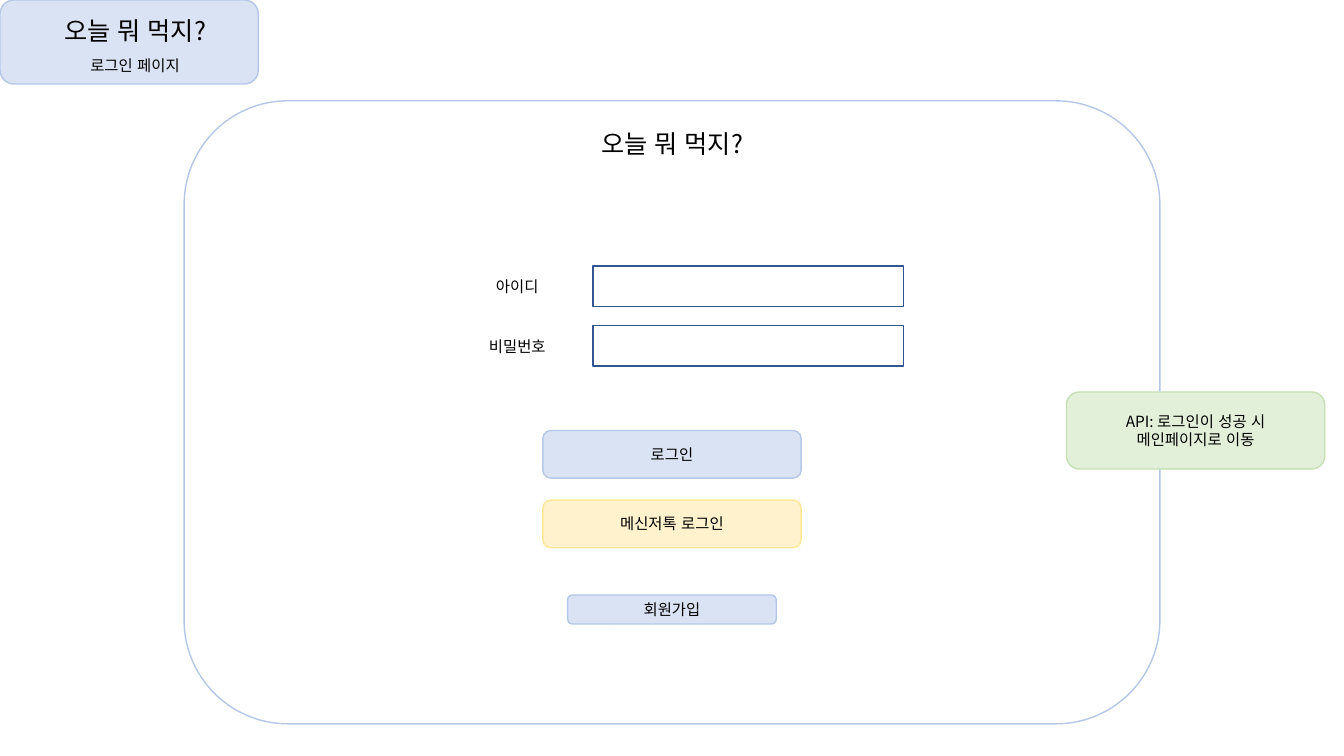
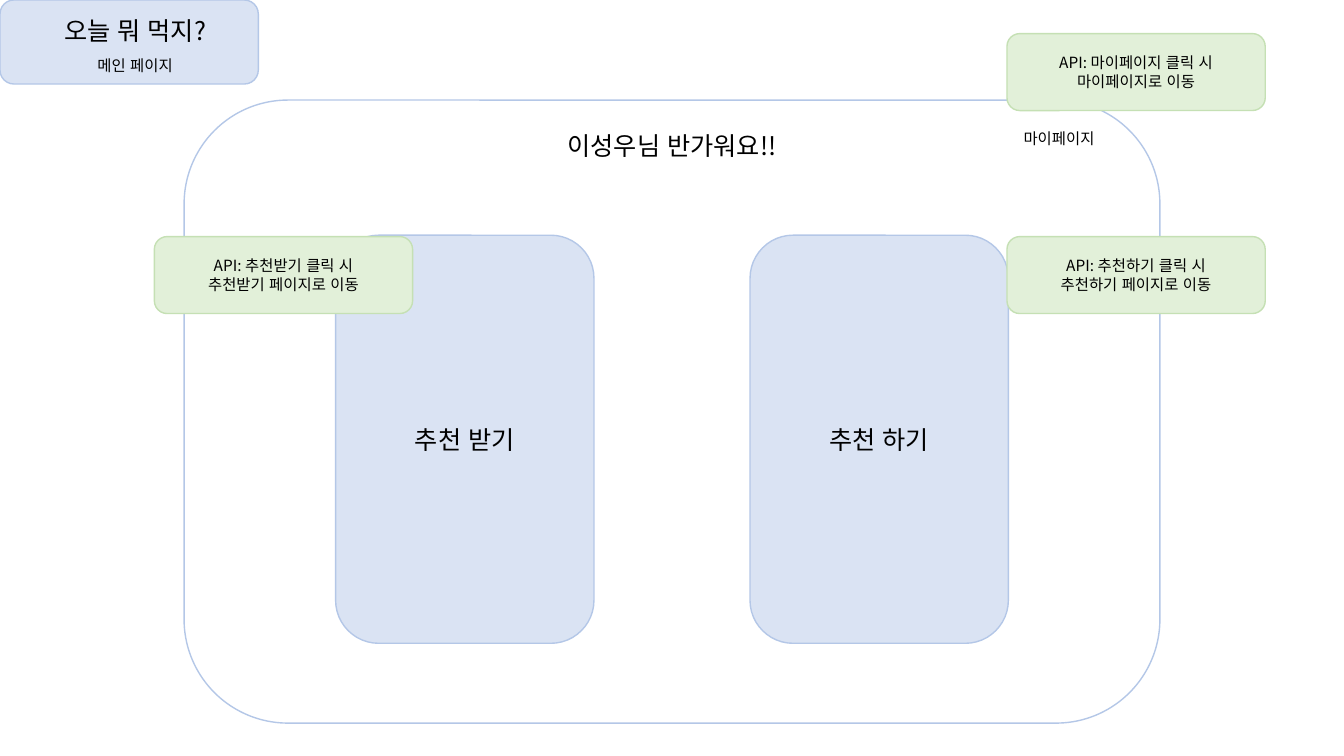
from dataclasses import dataclass
from typing import Any

from lxml.etree import SubElement
from pptx import Presentation
from pptx.dml.color import RGBColor
from pptx.enum.lang import MSO_LANGUAGE_ID
from pptx.enum.shapes import MSO_SHAPE
from pptx.enum.text import MSO_ANCHOR, MSO_AUTO_SIZE, PP_ALIGN
from pptx.oxml.ns import qn
from pptx.shapes.autoshape import Shape
from pptx.slide import Slide
from pptx.util import Pt

WHITE = RGBColor(0xFF, 0xFF, 0xFF)
BLACK = RGBColor(0x00, 0x00, 0x00)
PALE_BLUE = RGBColor(0xDA, 0xE3, 0xF3)
SOFT_BLUE = RGBColor(0xB4, 0xC7, 0xE7)
DEEP_BLUE = RGBColor(0x32, 0x54, 0x91)
PALE_YELLOW = RGBColor(0xFF, 0xF2, 0xCC)
SOFT_YELLOW = RGBColor(0xFF, 0xE6, 0x99)
PALE_GREEN = RGBColor(0xE2, 0xF0, 0xD9)
SOFT_GREEN = RGBColor(0xC5, 0xE0, 0xB4)

FONT = "Noto Sans CJK KR"
SERVICE = "오늘 뭐 먹지?"
SLIDE_WIDTH, SLIDE_HEIGHT = 960, 540
MIDDLE = SLIDE_WIDTH / 2
BLOCK_WIDTH = 184.5
LABEL_WIDTH, WIDE_LABEL = 134, 257
HEADING, BODY = 18, 11
LABEL_HEIGHT = {HEADING: 29, BODY: 20.75}
BODY_LINE = 13.25

FRAME_FORMAT: dict[str, Any] = {
    "word_wrap": True,
    "auto_size": MSO_AUTO_SIZE.SHAPE_TO_FIT_TEXT,
    "vertical_anchor": MSO_ANCHOR.TOP,
    "margin_left": Pt(7.2),
    "margin_right": Pt(7.2),
    "margin_top": Pt(3.6),
    "margin_bottom": Pt(3.6),
}
FONT_FORMAT: dict[str, Any] = {
    "name": FONT,
    "bold": False,
    "language_id": MSO_LANGUAGE_ID.KOREAN,
}


@dataclass(frozen=True)
class Style:
    """Fill, outline and outline shape of a block."""
    fill: RGBColor
    line: RGBColor
    outline: MSO_SHAPE = MSO_SHAPE.ROUNDED_RECTANGLE


@dataclass(frozen=True)
class Label:
    """Centred text, placed by its horizontal middle and its top."""
    text: str
    center: float
    top: float
    size: int = BODY
    width: float = LABEL_WIDTH
    lines: int = 1

    @property
    def height(self) -> float:
        """Height of the text with its margins."""
        return LABEL_HEIGHT[self.size] + (self.lines - 1) * BODY_LINE


@dataclass(frozen=True)
class Block:
    """A filled shape, with an optional label in its middle."""
    center: float
    top: float
    height: float
    style: Style
    width: float = BLOCK_WIDTH
    text: str = ""
    size: int = BODY
    label_width: float = LABEL_WIDTH
    lines: int = 1


PANEL = Style(WHITE, SOFT_BLUE)
BLUE = Style(PALE_BLUE, SOFT_BLUE)
YELLOW = Style(PALE_YELLOW, SOFT_YELLOW)
GREEN = Style(PALE_GREEN, SOFT_GREEN)
FIELD = Style(WHITE, DEEP_BLUE, MSO_SHAPE.RECTANGLE)


def apply(target: Any, values: dict[str, Any]) -> None:
    """Set every attribute in values on the target."""
    for name, value in values.items():
        setattr(target, name, value)


def place(shape: Shape, label: Label) -> None:
    """Move a text shape to its place and write the label in it."""
    apply(shape, {
        "left": Pt(label.center - label.width / 2),
        "top": Pt(label.top),
        "width": Pt(label.width),
        "height": Pt(label.height),
    })
    apply(shape.text_frame, FRAME_FORMAT)
    paragraph = shape.text_frame.paragraphs[0]
    paragraph.alignment = PP_ALIGN.CENTER
    run = paragraph.add_run()
    run.text = label.text
    apply(run.font, FONT_FORMAT | {"size": Pt(label.size)})
    run.font.color.rgb = BLACK
    SubElement(run.font._element, qn("a:ea"), typeface=FONT)


def add_label(slide: Slide, label: Label) -> None:
    """Add a text box for the label."""
    place(slide.shapes.add_textbox(0, 0, Pt(label.width), Pt(label.height)), label)


def add_block(slide: Slide, block: Block) -> Shape:
    """Add a block and its centred label."""
    shape = slide.shapes.add_shape(
        block.style.outline, Pt(block.center - block.width / 2), Pt(block.top),
        Pt(block.width), Pt(block.height))
    shape.shadow.inherit = False
    shape.fill.solid()
    shape.fill.fore_color.rgb = block.style.fill
    shape.line.color.rgb = block.style.line
    shape.line.width = Pt(1)
    if block.text:
        height = LABEL_HEIGHT[block.size] + (block.lines - 1) * BODY_LINE
        add_label(slide, Label(block.text, block.center,
                               block.top + (block.height - height) / 2,
                               block.size, block.label_width, block.lines))
    return shape


def api_note(center: float, top: float, text: str) -> Block:
    """Describe a green two-line note on an API call."""
    return Block(center, top, 55, GREEN, text=f"API: {text}", lines=2)


def add_page(deck: Any, page_name: str, panel_top: float,
             parts: list[Block | Label]) -> None:
    """Add a page with its corner badge, panel and parts."""
    slide = deck.slides.add_slide(deck.slide_layouts[5])
    badge = add_block(slide, Block(BLOCK_WIDTH / 2, 0, 60, BLUE))
    title = slide.shapes.title
    place(title, Label(SERVICE, 96.5, 7.5, HEADING))
    badge.element.addnext(title.element)
    add_label(slide, Label(page_name, 96.5, 36.5))
    add_block(slide, Block(MIDDLE, panel_top, 445, PANEL, width=697))
    for part in parts:
        if isinstance(part, Block):
            add_block(slide, part)
        else:
            add_label(slide, part)


def login_parts() -> list[Block | Label]:
    """List what stands on the login page."""
    parts: list[Block | Label] = [Label(SERVICE, MIDDLE, 88, HEADING)]
    for row, caption in enumerate(("아이디", "비밀번호")):
        field_top = 190 + row * 42.5
        parts += [Block(534.5, field_top, 29, FIELD, width=222),
                  Label(caption, 369.5, field_top + 4.5)]
    return parts + [
        Block(MIDDLE, 307.5, 34, BLUE, text="로그인"),
        Block(MIDDLE, 357.25, 34, YELLOW, text="메신저톡 로그인"),
        Block(MIDDLE, 425, 20.75, BLUE, width=149, text="회원가입"),
        api_note(854, 280, "로그인이 성공 시 메인페이지로 이동"),
    ]


def main_parts() -> list[Block | Label]:
    """List what stands on the main page."""
    cards = [Block(332 + column * 296, 168, 291.5, BLUE, text=caption,
                   size=HEADING, label_width=WIDE_LABEL)
             for column, caption in enumerate(("추천 받기", "추천 하기"))]
    return [
        Label("이성우님 반가워요!!", MIDDLE, 89.5, HEADING, WIDE_LABEL),
        *cards,
        Label("마이페이지", 756.5, 88.5, width=88.5),
        api_note(202.5, 169, "추천받기 클릭 시 추천받기 페이지로 이동"),
        api_note(811.5, 169, "추천하기 클릭 시 추천하기 페이지로 이동"),
        api_note(811.5, 24, "마이페이지 클릭 시 마이페이지로 이동"),
    ]


def build() -> None:
    """Build and save the deck."""
    deck = Presentation()
    deck.slide_width, deck.slide_height = Pt(SLIDE_WIDTH), Pt(SLIDE_HEIGHT)
    add_page(deck, "로그인 페이지", 72, login_parts())
    add_page(deck, "메인 페이지", 71.5, main_parts())
    deck.save("out.pptx")


build()
